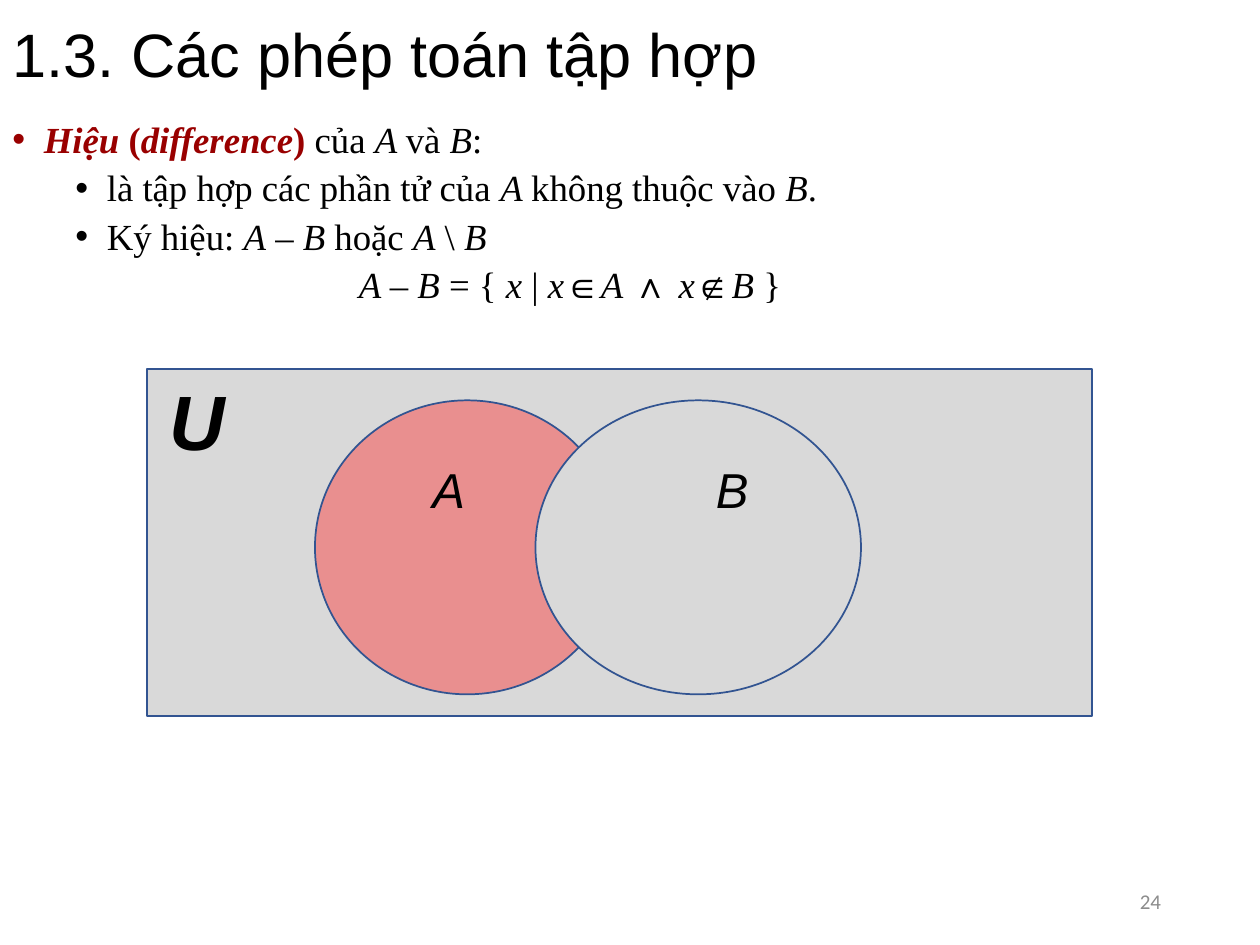
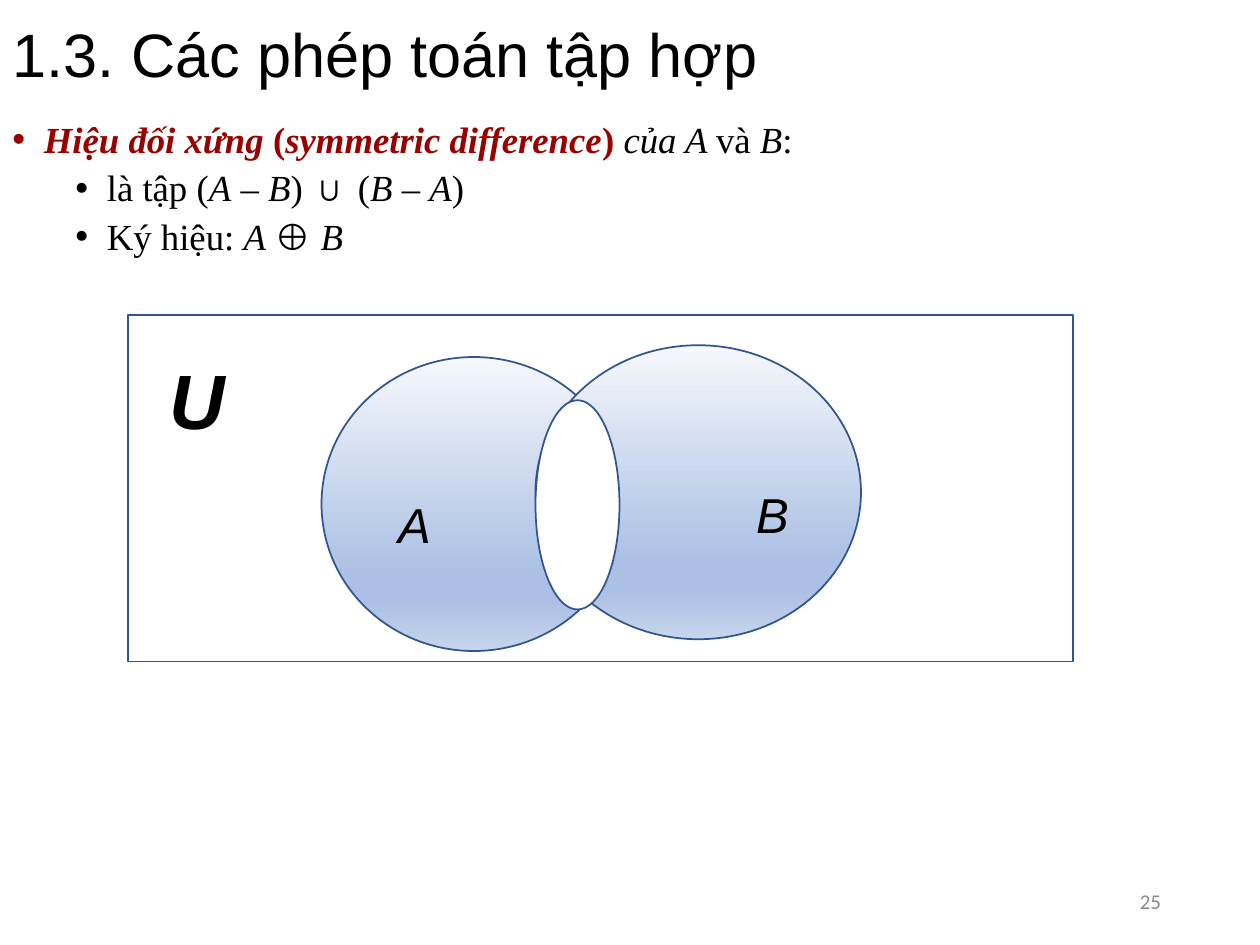
"""Builds two slides on set difference and symmetric difference with Venn diagrams."""
from lxml.etree import SubElement
from pptx import Presentation
from pptx.dml.color import RGBColor
from pptx.enum.shapes import MSO_SHAPE as Preset
from pptx.enum.text import MSO_ANCHOR as Anchor, MSO_AUTO_SIZE as AutoSize, PP_ALIGN as Align
from pptx.oxml.ns import qn
from pptx.util import Pt

TITLE = "1.3. Các phép toán tập hợp"
BLACK, RED, OUTLINE, PAGE_GREY = "000000", "990000", "325491", "8C8C8C"
GREY, PINK, WHITE = "D9D9D9", "E98F8F", "FFFFFF"
BLUE_FADE = [(0, "F6F8FC"), (74, "ABC0E4"), (83, "ABC0E4"), (100, "C7D5ED")]

UNIVERSE_SIZE, A_SIZE, B_SIZE, OVERLAP_SIZE = (540, 198), (174, 168), (186, 168), (48, 119.5)
TITLE_BOX, BODY_BOX, NUMBER_BOX = (0, 0, 720, 66), (0, 66, 720, 408), (508.5, 500.5, 162, 28.75)

LABEL_FORMATS = {
    "U": ((42, 60.5), {"name": "Arial", "size": Pt(44), "bold": True, "italic": True}),
    "A": ((30, 41.2), {"name": "Arial", "size": Pt(28), "italic": True}),
    "B": ((30, 41.2), {"name": "Arial", "size": Pt(28), "italic": True}),
}
PARAGRAPH_STYLES = {
    "term": {"level": 0, "margin": 18, "indent": -18, "before": 10, "bullet": True},
    "point": {"level": 1, "margin": 54, "indent": -18, "before": 5, "bullet": True},
    "formula": {"level": 1, "margin": 198, "indent": 0, "before": 5, "bullet": False},
}

# Asterisks in the wording switch italics on and off.
SLIDES = [
    {
        "number": 24,
        "term": "*Hiệu *(*difference*) ",
        "lines": [
            ("term", "của *A *và *B*:"),
            ("point", "là tập hợp các phần tử của *A *không thuộc vào *B*."),
            ("point", "Ký hiệu: *A* – *B *hoặc *A* \\ *B*"),
            ("formula", "*A – B *= { *x* | *x*∈*A* ∧ *x*∉*B* }"),
        ],
        "grouped": False,
        "areas": [
            (Preset.RECTANGLE, (84, 211), UNIVERSE_SIZE, GREY),
            (Preset.OVAL, (180, 228.75), A_SIZE, PINK),
            (Preset.OVAL, (306, 228.75), B_SIZE, GREY),
        ],
        "labels": {"U": (90, 210), "A": (240, 259), "B": (402, 259)},
    },
    {
        "number": 25,
        "term": "*Hiệu đối xứng *(*symmetric difference*) ",
        "lines": [
            ("term", "*của A *và *B*:"),
            ("point", "là tập (*A* – *B*) ∪ (*B* – *A*)"),
            ("point", "Ký hiệu: *A *⊕ *B*"),
        ],
        "grouped": True,
        "areas": [
            (Preset.RECTANGLE, (73, 180), UNIVERSE_SIZE, WHITE),
            (Preset.OVAL, (183.75, 204), A_SIZE, BLUE_FADE),
            (Preset.OVAL, (306, 197.25), B_SIZE, BLUE_FADE),
            (Preset.OVAL, (306, 228.75), OVERLAP_SIZE, WHITE),
        ],
        "labels": {"U": (90, 198), "A": (220.5, 279), "B": (425, 273.5)},
    },
]


def color(value):
    return RGBColor.from_string(value)


def add_run(paragraph, text, font_color=BLACK, **formats):
    run = paragraph.add_run()
    run.text = text
    run.font.color.rgb = color(font_color)
    for name, value in formats.items():
        setattr(run.font, name, value)


def add_marked_runs(paragraph, text, font_color, bold):
    for index, piece in enumerate(text.split("*")):
        if piece:
            add_run(paragraph, piece, font_color, name="Times New Roman", size=Pt(21),
                    bold=bold, italic=index % 2 == 1)


def add_text_frame(shapes, box, **settings):
    frame = shapes.add_textbox(*map(Pt, box)).text_frame
    frame.word_wrap = True
    for name, value in settings.items():
        setattr(frame, name, value)
    return frame


def style_paragraph(paragraph, style):
    paragraph.level = style["level"]
    paragraph.line_spacing = 0.9
    paragraph.space_before = Pt(style["before"])
    properties = paragraph._p.get_or_add_pPr()
    properties.set("marL", str(Pt(style["margin"])))
    properties.set("indent", str(Pt(style["indent"])))
    if style["bullet"]:
        SubElement(properties, qn("a:buFont"), typeface="Arial")
        SubElement(properties, qn("a:buChar"), char="•")
    else:
        SubElement(properties, qn("a:buNone"))


def add_body(slide, term, lines):
    frame = add_text_frame(slide.shapes, BODY_BOX)
    for index, (kind, text) in enumerate(lines):
        paragraph = frame.add_paragraph() if index else frame.paragraphs[0]
        style_paragraph(paragraph, PARAGRAPH_STYLES[kind])
        if kind == "term":
            add_marked_runs(paragraph, term, RED, True)
        add_marked_runs(paragraph, text, BLACK, False)


def fill_gradient(shape, stops):
    shape.fill.gradient()
    shape.fill.gradient_angle = 270
    stop_list = shape.element.spPr.find(qn("a:gradFill")).find(qn("a:gsLst"))
    for stop in list(stop_list):
        stop_list.remove(stop)
    for position, value in stops:
        stop = SubElement(stop_list, qn("a:gs"), pos=str(position * 1000))
        SubElement(stop, qn("a:srgbClr"), val=value)


def add_area(shapes, preset, corner, size, fill):
    shape = shapes.add_shape(preset, *map(Pt, corner + size))
    shape.shadow.inherit = False
    shape.line.color.rgb = color(OUTLINE)
    shape.line.width = Pt(1)
    if isinstance(fill, list):
        fill_gradient(shape, fill)
    else:
        shape.fill.solid()
        shape.fill.fore_color.rgb = color(fill)


def add_diagram(slide, areas, labels, grouped):
    shapes = slide.shapes.add_group_shape().shapes if grouped else slide.shapes
    for area in areas:
        add_area(shapes, *area)
    for letter, corner in labels.items():
        size, formats = LABEL_FORMATS[letter]
        frame = add_text_frame(shapes, corner + size, auto_size=AutoSize.SHAPE_TO_FIT_TEXT)
        add_run(frame.paragraphs[0], letter, **formats)


def add_title_and_number(slide, number):
    title = add_text_frame(slide.shapes, TITLE_BOX, vertical_anchor=Anchor.MIDDLE).paragraphs[0]
    title.line_spacing = 0.9
    add_run(title, TITLE, name="Arial", size=Pt(35))
    footer = add_text_frame(slide.shapes, NUMBER_BOX, vertical_anchor=Anchor.MIDDLE).paragraphs[0]
    footer.alignment = Align.RIGHT
    add_run(footer, str(number), PAGE_GREY, name="Calibri", size=Pt(12))


def main():
    presentation = Presentation()
    presentation.slide_width, presentation.slide_height = Pt(720), Pt(540)
    for content in SLIDES:
        slide = presentation.slides.add_slide(presentation.slide_layouts[6])
        add_title_and_number(slide, content["number"])
        add_body(slide, content["term"], content["lines"])
        add_diagram(slide, content["areas"], content["labels"], content["grouped"])
    presentation.save("out.pptx")


if __name__ == "__main__":
    main()
